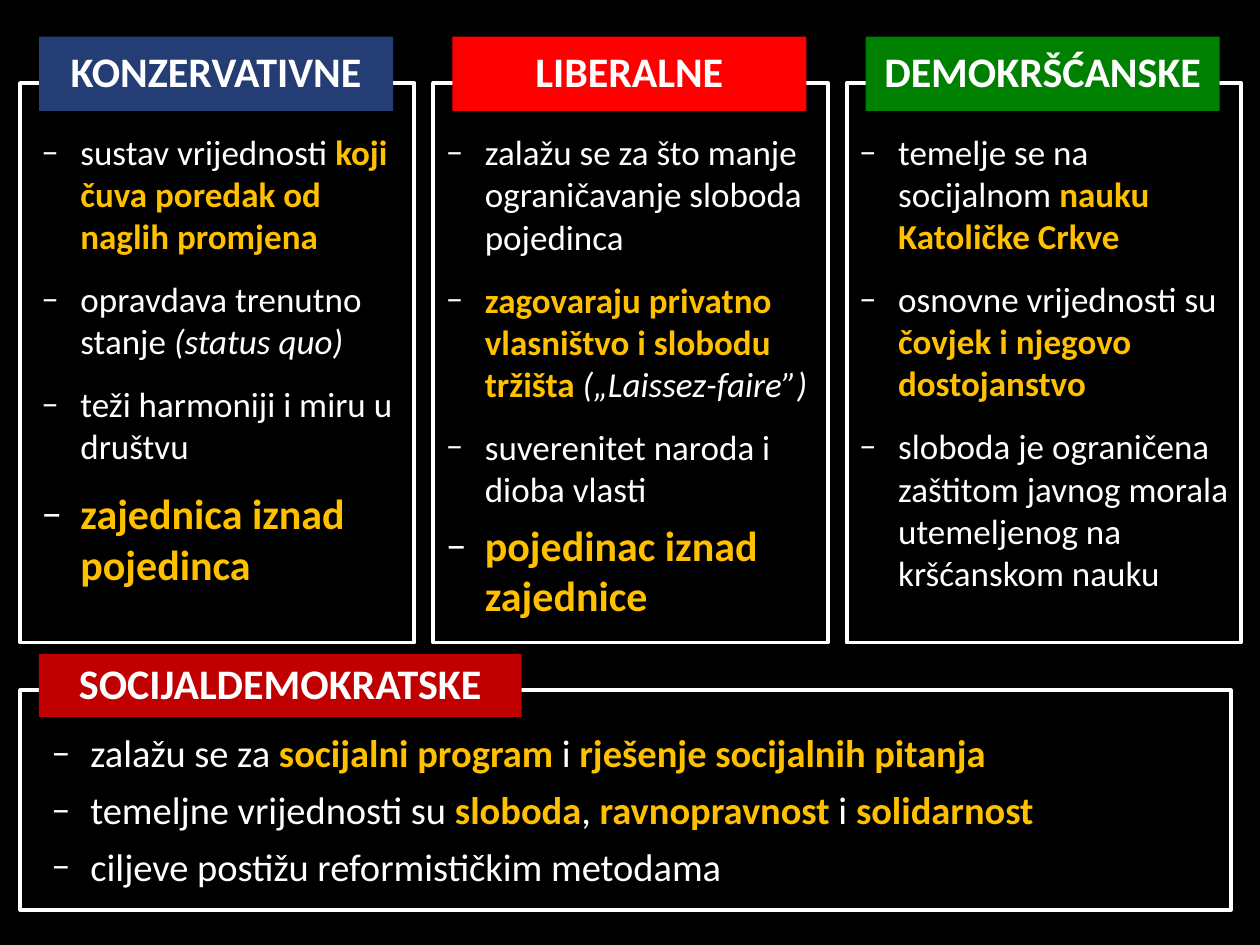
from lxml.etree import SubElement
from pptx import Presentation
from pptx.dml.color import RGBColor
from pptx.enum.shapes import MSO_SHAPE as Shape
from pptx.enum.text import MSO_ANCHOR as Anchor, MSO_AUTO_SIZE as AutoSize, PP_ALIGN as Align
from pptx.oxml.ns import qn
from pptx.util import Inches, Pt

BLACK = RGBColor(0x00, 0x00, 0x00)
WHITE = RGBColor(0xFF, 0xFF, 0xFF)
GOLD = RGBColor(0xFF, 0xC0, 0x00)
NAVY = RGBColor(0x25, 0x3D, 0x75)
RED = RGBColor(0xFF, 0x00, 0x00)
GREEN = RGBColor(0x00, 0x80, 0x00)
CRIMSON = RGBColor(0xC0, 0x00, 0x00)
FONT = "Calibri"

PLAIN, KEY, ITALIC = "plain", "key", "italic"

# Each point: (size, space before, [(text, style), ...])
COLUMNS = [
    ("KONZERVATIVNE", NAVY, (0.23, 3.05, 3.77), [
        (20, 0, [("sustav vrijednosti ", PLAIN),
                 ("koji čuva poredak od naglih promjena", KEY)]),
        (20, 12, [("opravdava trenutno stanje ", PLAIN), ("(status quo)", ITALIC)]),
        (20, 12, [("teži harmoniji i miru u društvu", PLAIN)]),
        (24, 12, [("zajednica iznad pojedinca", KEY)]),
    ]),
    ("LIBERALNE", RED, (3.44, 3.2, 4.11), [
        (20, 0, [("zalažu se za što manje ograničavanje sloboda pojedinca", PLAIN)]),
        (20, 12, [("zagovaraju privatno vlasništvo i slobodu tržišta ", KEY),
                  ("(„Laissez-faire”)", ITALIC)]),
        (20, 12, [("suverenitet naroda i dioba vlasti", PLAIN)]),
        (24, 6, [("pojedinac iznad zajednice", KEY)]),
    ]),
    ("DEMOKRŠĆANSKE", GREEN, (6.72, 3.13, 3.8), [
        (20, 0, [("temelje se na socijalnom ", PLAIN), ("nauku Katoličke Crkve", KEY)]),
        (20, 12, [("osnovne vrijednosti su ", PLAIN),
                  ("čovjek i njegovo dostojanstvo", KEY)]),
        (20, 12, [("sloboda je ograničena zaštitom javnog morala "
                   "utemeljenog na kršćanskom nauku", PLAIN)]),
    ]),
]
SOCIAL_DEMOCRATS = [
    (22, 0, [("zalažu se za ", PLAIN), ("socijalni program", KEY), (" i ", PLAIN),
             ("rješenje socijalnih pitanja", KEY)]),
    (22, 6, [("temeljne vrijednosti su ", PLAIN), ("sloboda", KEY), (", ", PLAIN),
             ("ravnopravnost", KEY), (" i ", PLAIN), ("solidarnost", KEY)]),
    (22, 6, [("ciljeve postižu reformističkim metodama", PLAIN)]),
]

FRAME_LEFT, HEADER_LEFT, COLUMN_STEP = 0.16, 0.31, 3.28


def add_span(para, text, size, color=WHITE, bold=False, italic=False):
    span = para.add_run()
    span.text = text
    font = span.font
    font.name, font.size, font.bold, font.italic = FONT, Pt(size), bold, italic
    font.color.rgb = color


def add_rectangle(slide, area):
    box = slide.shapes.add_shape(Shape.RECTANGLE, *map(Inches, area))
    box.shadow.inherit = False
    return box


def add_frame(slide, *area):
    frame = add_rectangle(slide, area)
    frame.fill.background()
    frame.line.color.rgb = WHITE
    frame.line.width = Pt(2.25)


def add_header(slide, title, color, *area):
    header = add_rectangle(slide, area)
    header.fill.solid()
    header.fill.fore_color.rgb = color
    header.line.fill.background()
    header.text_frame.word_wrap = True
    header.text_frame.vertical_anchor = Anchor.MIDDLE
    para = header.text_frame.paragraphs[0]
    para.alignment = Align.CENTER
    para.line_spacing = 0.93
    add_span(para, title, 24, bold=True)


def add_dash(para):
    """Give the paragraph a white dash bullet with a hanging indent."""
    props = para._p.get_or_add_pPr()
    props.set("marL", str(Inches(0.31)))
    props.set("indent", str(Inches(-0.31)))
    bullet_color = SubElement(props, qn("a:buClr"))
    SubElement(bullet_color, qn("a:srgbClr"), val=str(WHITE))
    SubElement(props, qn("a:buFont"), typeface=FONT)
    SubElement(props, qn("a:buChar"), char="–")


def add_points(slide, points, *area):
    frame = slide.shapes.add_textbox(*map(Inches, area)).text_frame
    frame.word_wrap = True
    frame.auto_size = AutoSize.SHAPE_TO_FIT_TEXT
    for index, (size, space, spans) in enumerate(points):
        para = frame.add_paragraph() if index else frame.paragraphs[0]
        add_dash(para)
        para.space_before = Pt(space)
        for text, style in spans:
            key = style == KEY
            add_span(para, text, size, GOLD if key else WHITE, key, style == ITALIC)


def main():
    deck = Presentation()
    deck.slide_width, deck.slide_height = Inches(10), Inches(7.5)
    slide = deck.slides.add_slide(deck.slide_layouts[6])
    slide.background.fill.solid()
    slide.background.fill.fore_color.rgb = BLACK

    for index, (title, color, (left, width, height), points) in enumerate(COLUMNS):
        shift = index * COLUMN_STEP
        add_frame(slide, FRAME_LEFT + shift, 0.66, 3.13, 4.44)
        add_header(slide, title, color, HEADER_LEFT + shift, 0.29, 2.81, 0.59)
        add_points(slide, points, left, 0.99, width, height)

    add_frame(slide, FRAME_LEFT, 5.48, 9.61, 1.74)
    add_header(slide, "SOCIJALDEMOKRATSKE", CRIMSON, HEADER_LEFT, 5.19, 3.83, 0.5)
    add_points(slide, SOCIAL_DEMOCRATS, HEADER_LEFT, 5.74, 9.3, 1.38)
    deck.save("out.pptx")


if __name__ == "__main__":
    main()
